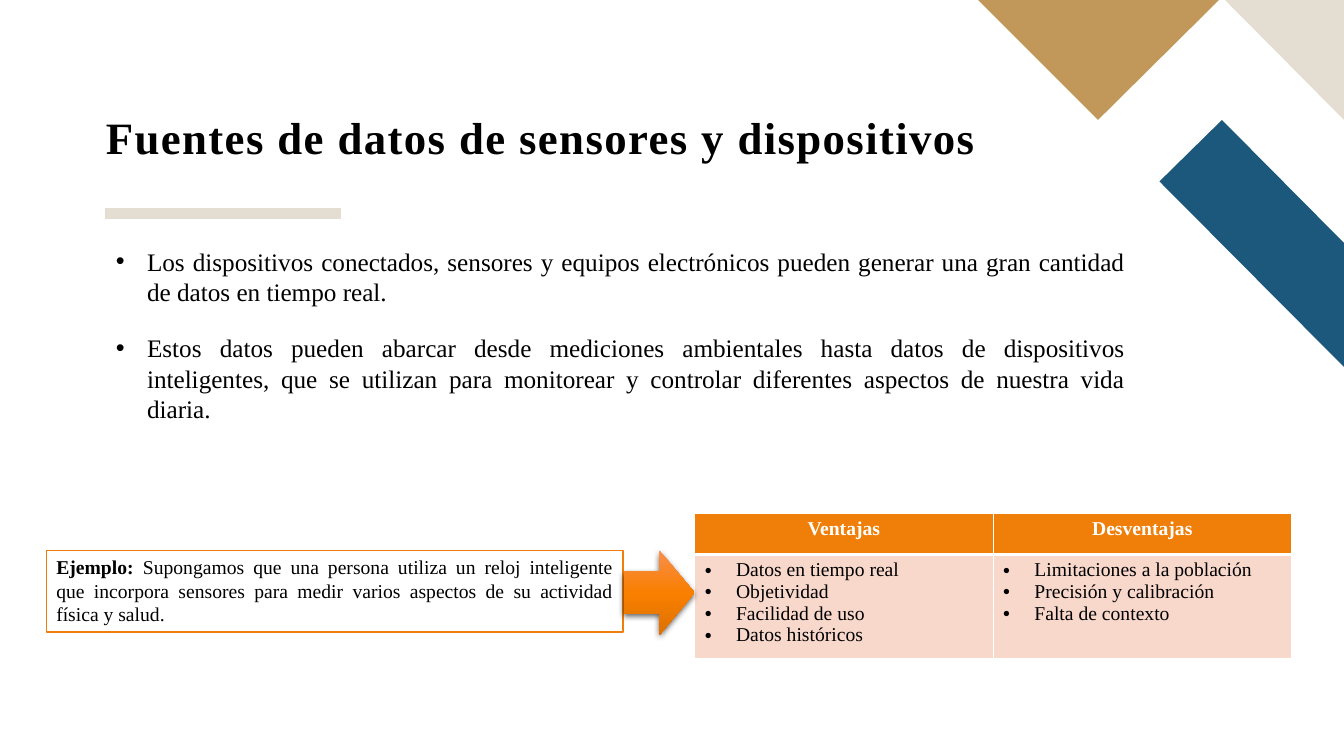
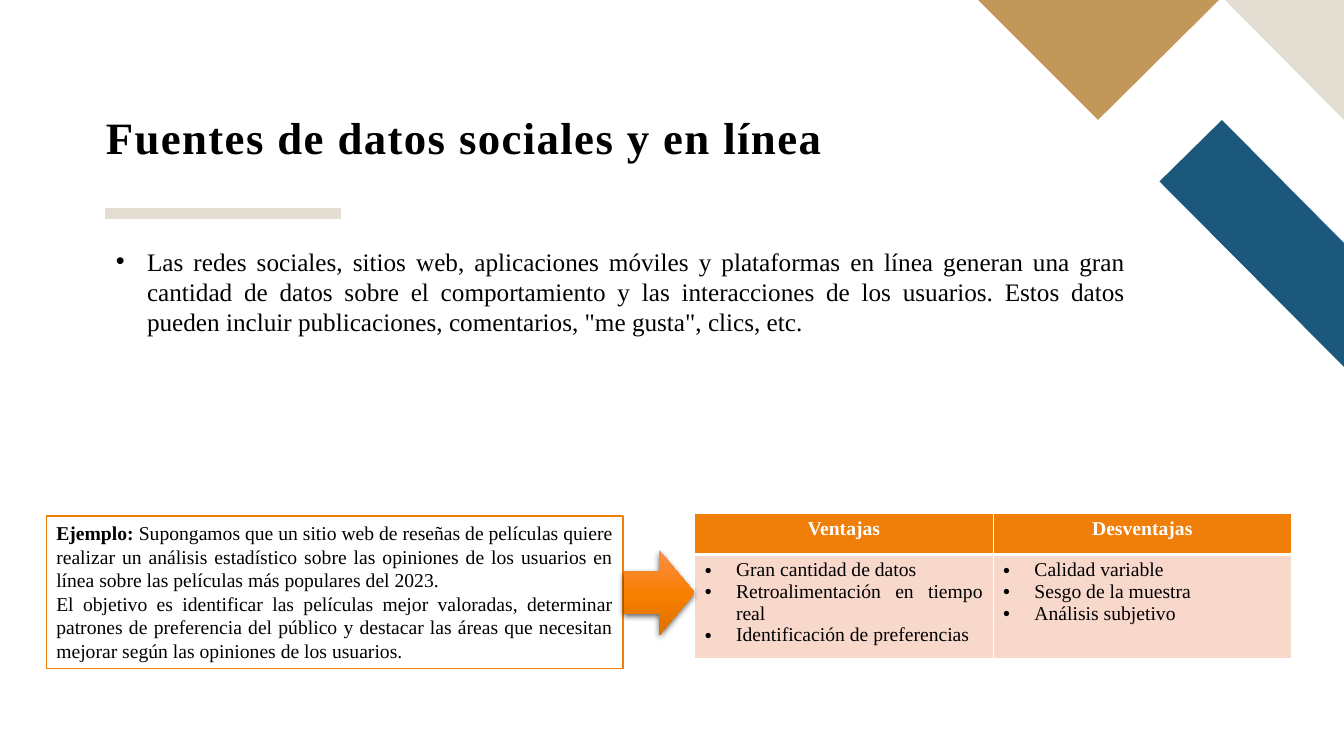
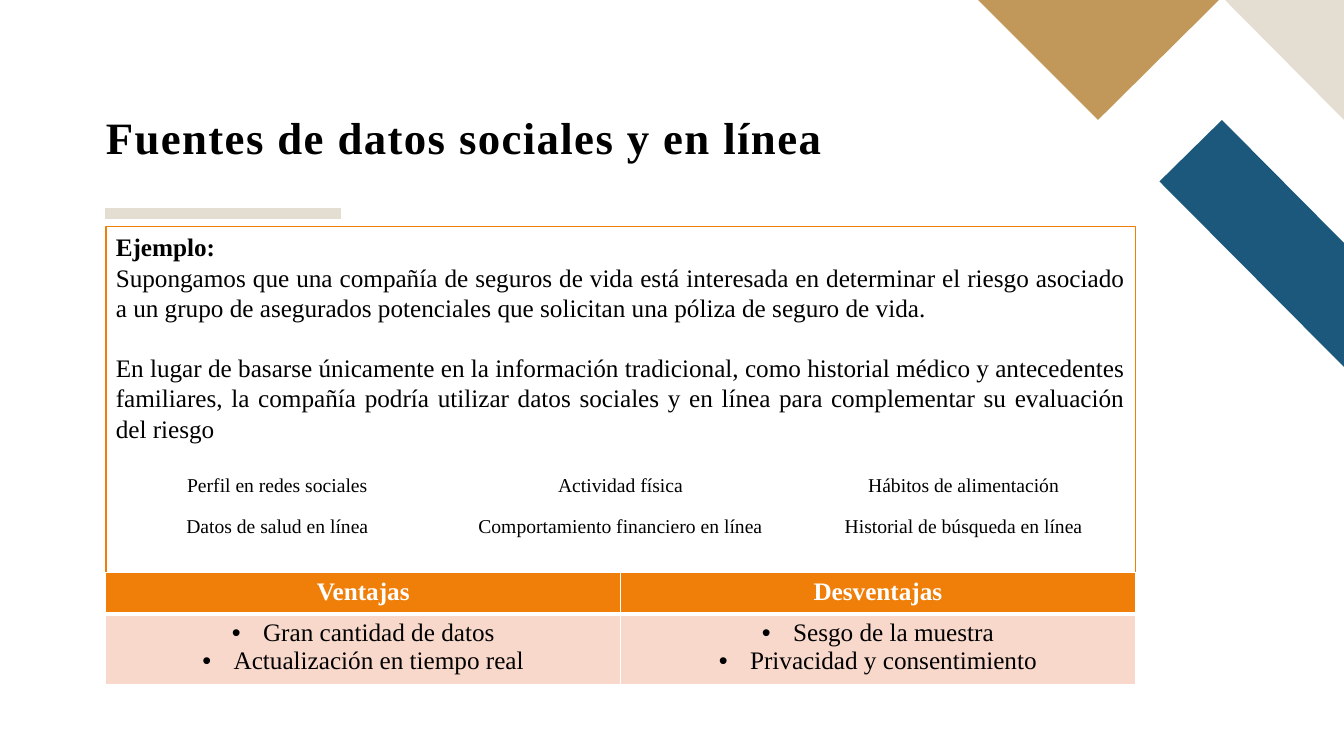
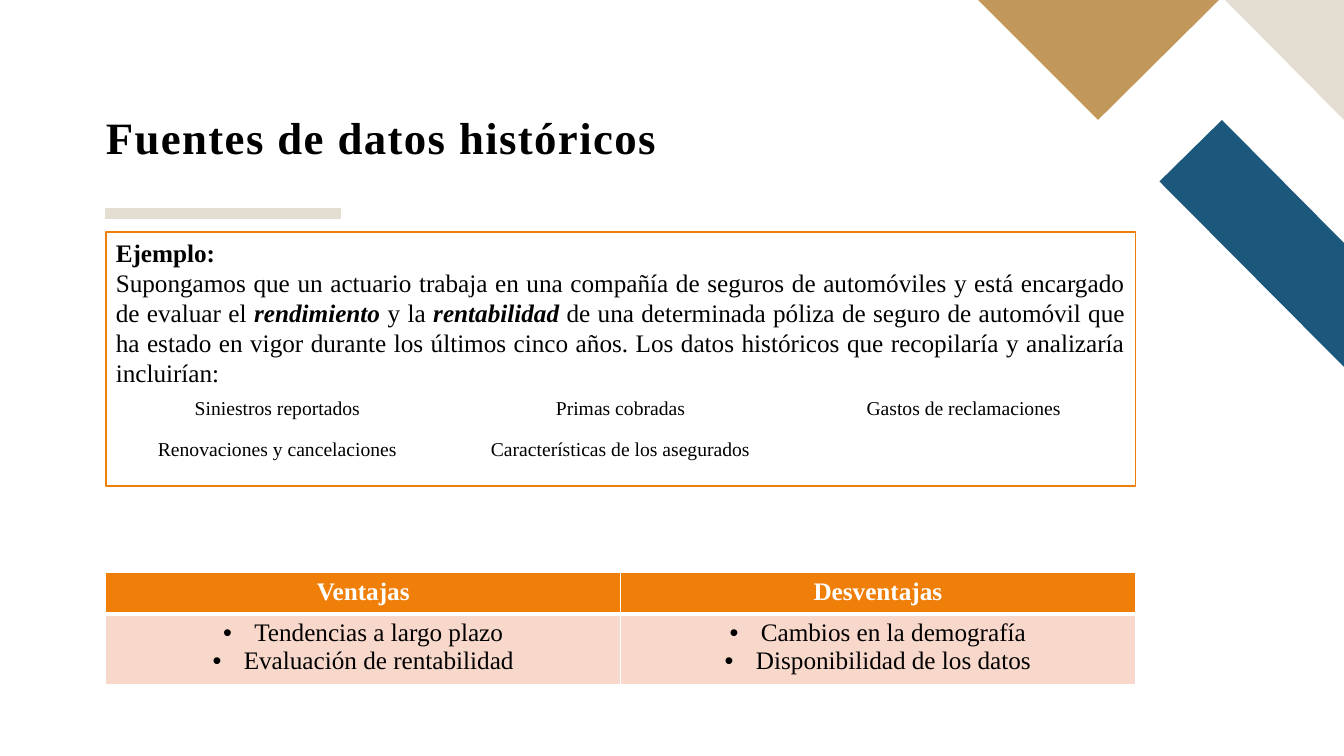
from dataclasses import dataclass

from lxml.etree import SubElement
from pptx import Presentation
from pptx.dml.color import RGBColor
from pptx.enum.shapes import MSO_CONNECTOR, MSO_SHAPE
from pptx.enum.text import MSO_ANCHOR, PP_ALIGN
from pptx.oxml.ns import qn
from pptx.util import Pt

PX = 9144  # EMU in one px, 100 px to the inch


@dataclass(frozen=True)
class Theme:
    font: str = "Times New Roman"
    black: str = "000000"
    white: str = "FFFFFF"
    sand: str = "E3DED1"
    blue: str = "1B587C"
    gold: str = "C19859"
    orange: str = "F07F09"
    pink: str = "F9D8CC"
    arrow: tuple = ((0, "F98E4B"), (50, "F97F00"), (100, "DD7100"))
    title: int = 32
    body: int = 18
    small: int = 14


T = Theme()
LEFT, WIDTH = 105, 1021
ROW = 41
INDENT = 31
NO_STYLE = "{2D5ABB26-0587-4C30-8999-92F81FD0307C}"


def px(*lengths):
    return [n * PX for n in lengths]


def rgb(color):
    return RGBColor.from_string(color)


def sub(parent, tag, **attrs):
    return SubElement(parent, qn(tag), {k: str(v) for k, v in attrs.items()})


def write(tf, paras, size=T.body, color=T.black, align=PP_ALIGN.JUSTIFY,
          bullet=False, bold=False, leading=None, last_gap=0, tracking=0):
    """Fill a text frame; a paragraph is a string or a list of (text, style), style from "", "b", "bi"."""
    tf.word_wrap = True
    for i, para in enumerate(paras):
        p = tf.paragraphs[0] if i == 0 else tf.add_paragraph()
        p.alignment = align
        if leading:
            p.line_spacing = leading
        if last_gap and i == len(paras) - 1:
            p.space_before = Pt(last_gap)
        if bullet:
            pPr = p._p.get_or_add_pPr()
            pPr.set("marL", str(INDENT * PX))
            pPr.set("indent", str(-INDENT * PX))
            sub(pPr, "a:buFont", typeface="Arial")
            sub(pPr, "a:buChar", char="•")
        for text, style in [(para, "")] if isinstance(para, str) else para:
            r = p.add_run()
            r.text = text
            f = r.font
            f.name, f.size, f.color.rgb = T.font, Pt(size), rgb(color)
            f.bold, f.italic = bold or "b" in style, "i" in style
            if tracking:
                r._r.get_or_add_rPr().set("spc", str(tracking))


def text_box(s, x, y, w, h, paras, **fmt):
    tf = s.shapes.add_textbox(*px(x, y, w, h)).text_frame
    write(tf, paras, **fmt)
    return tf


def polygon(s, points, color):
    builder = s.shapes.build_freeform(*points[0], scale=PX)
    builder.add_line_segments(points[1:], close=True)
    sp = builder.convert_to_shape()
    sp.shadow.inherit = False
    sp.fill.solid()
    sp.fill.fore_color.rgb = rgb(color)
    sp.line.fill.background()


def add_slide(prs, title):
    """Add a slide with the shared rule, corner shapes and title."""
    s = prs.slides.add_slide(prs.slide_layouts[6])
    rule = s.shapes.add_connector(MSO_CONNECTOR.STRAIGHT, *px(104, 212, 338, 212))
    rule.line.color.rgb = rgb(T.sand)
    rule.line.width = Pt(8)
    sub(rule._element.spPr, "a:effectLst")
    polygon(s, [(1333, 364), (1333, 241), (1212, 119), (1150, 180)], T.blue)
    polygon(s, [(1333, 119), (1333, 0), (1215, 0)], T.sand)
    polygon(s, [(970, 0), (1089, 119), (1209, 0)], T.gold)
    tf = text_box(s, LEFT, 96, WIDTH, 67, [title], size=T.title, bold=True,
                  leading=0.9, tracking=100)
    tf.margin_left = tf.margin_right = tf.margin_top = tf.margin_bottom = 0
    tf.vertical_anchor = MSO_ANCHOR.BOTTOM
    return s


def bullet_text(s, y, h, text):
    text_box(s, LEFT, y, WIDTH, h, [text], bullet=True)


def example_box(s, x, y, w, h, paras, **fmt):
    sp = s.shapes.add_shape(MSO_SHAPE.RECTANGLE, *px(x, y, w, h))
    sp.shadow.inherit = False
    sp.fill.solid()
    sp.fill.fore_color.rgb = rgb(T.white)
    sp.line.color.rgb = rgb(T.orange)
    sp.line.width = Pt(1)
    sp.text_frame.vertical_anchor = MSO_ANCHOR.TOP
    write(sp.text_frame, paras, **fmt)


def arrow(s):
    sp = s.shapes.add_shape(MSO_SHAPE.RIGHT_ARROW, *px(619, 546, 70, 84))
    sp.line.fill.background()
    sp.fill.gradient()
    sp.fill.gradient_angle = 270
    spPr = sp._element.spPr
    stops = spPr.find(".//" + qn("a:gsLst"))
    for stop in list(stops):
        stops.remove(stop)
    for pos, color in T.arrow:
        sub(sub(stops, "a:gs", pos=pos * 1000), "a:srgbClr", val=color)
    sp.shadow.inherit = False
    shadow = sub(spPr.find(qn("a:effectLst")), "a:outerShdw", blurRad=Pt(4.5),
                 dist=Pt(1.5), dir=5400000, rotWithShape=0)
    sub(sub(shadow, "a:srgbClr", val=T.black), "a:alpha", val=63000)


def plain_table(s, x, y, w, heights, cols):
    tbl = s.shapes.add_table(len(heights), cols, *px(x, y, w, sum(heights))).table
    tbl._tbl.tblPr.find(qn("a:tableStyleId")).text = NO_STYLE
    tbl.first_row = tbl.horz_banding = False
    for row, h in zip(tbl.rows, heights):
        row.height = h * PX
    return tbl


def paint_cell(cell, color, bottom):
    """Give a cell white borders and a solid fill."""
    tcPr = cell._tc.get_or_add_tcPr()
    for side, width in (("L", 1), ("R", 1), ("T", 1), ("B", bottom)):
        ln = sub(tcPr, f"a:ln{side}", w=Pt(width))
        sub(sub(ln, "a:solidFill"), "a:srgbClr", val=T.white)
    cell.fill.solid()
    cell.fill.fore_color.rgb = rgb(color)


def pros_cons(s, x, y, w, h, pros, cons, size, align):
    tbl = plain_table(s, x, y, w, [ROW, h - ROW], 2)
    for i, (head, items) in enumerate((("Ventajas", pros), ("Desventajas", cons))):
        top, below = tbl.cell(0, i), tbl.cell(1, i)
        paint_cell(top, T.orange, bottom=3)
        paint_cell(below, T.pink, bottom=1)
        write(top.text_frame, [head], size=size, color=T.white,
              align=PP_ALIGN.CENTER, bold=True)
        write(below.text_frame, items, size=size, align=align, bullet=True)


def small_pros_cons(s, pros, cons):
    pros_cons(s, 689, 509, 592, 144, pros, cons, T.small, PP_ALIGN.JUSTIFY)


def wide_pros_cons(s, pros, cons):
    pros_cons(s, LEFT, 568, WIDTH, 111, pros, cons, T.body, PP_ALIGN.CENTER)


def data_grid(s, y, items, cols=3):
    rows = -(-len(items) // cols)
    tbl = plain_table(s, LEFT, y, WIDTH, [ROW] * rows, cols)
    for i, item in enumerate(items):
        write(tbl.cell(*divmod(i, cols)).text_frame, [item], size=T.small,
              align=PP_ALIGN.CENTER)


def sensors(prs):
    s = add_slide(prs, "Fuentes de datos de sensores y dispositivos")
    bullet_text(s, 239, 71, "Los dispositivos conectados, sensores y equipos electrónicos pueden "
                "generar una gran cantidad de datos en tiempo real.")
    bullet_text(s, 325, 101, "Estos datos pueden abarcar desde mediciones ambientales hasta datos de "
                "dispositivos inteligentes, que se utilizan para monitorear y controlar diferentes "
                "aspectos de nuestra vida diaria.")
    example_box(s, 46, 546, 572, 81, [
        [("Ejemplo: ", "b"),
         ("Supongamos que una persona utiliza un reloj inteligente que incorpora sensores para "
          "medir varios aspectos de su actividad física y salud.", "")]], size=T.small)
    small_pros_cons(
        s, ["Datos en tiempo real", "Objetividad", "Facilidad de uso", "Datos históricos"],
        ["Limitaciones a la población", "Precisión y calibración", "Falta de contexto"])
    arrow(s)


def social(prs):
    s = add_slide(prs, "Fuentes de datos sociales y en línea")
    bullet_text(s, 239, 101, "Las redes sociales, sitios web, aplicaciones móviles y plataformas en "
                "línea generan una gran cantidad de datos sobre el comportamiento y las "
                "interacciones de los usuarios. Estos datos pueden incluir publicaciones, "
                "comentarios, \"me gusta\", clics, etc.")
    example_box(s, 46, 512, 572, 151, [
        [("Ejemplo: ", "b"),
         ("Supongamos que un sitio web de reseñas de películas quiere realizar un análisis "
          "estadístico sobre las opiniones de los usuarios en línea sobre las películas más "
          "populares del 2023.", "")],
        "El objetivo es identificar las películas mejor valoradas, determinar patrones de "
        "preferencia del público y destacar las áreas que necesitan mejorar según las opiniones "
        "de los usuarios."], size=T.small)
    small_pros_cons(
        s, ["Gran cantidad de datos", "Retroalimentación en tiempo real",
            "Identificación de preferencias"],
        ["Calidad variable", "Sesgo de la muestra", "Análisis subjetivo"])
    arrow(s)


def life_insurance(prs):
    s = add_slide(prs, "Fuentes de datos sociales y en línea")
    example_box(s, LEFT, 225, WIDTH, 343, [
        [("Ejemplo:", "b")],
        "Supongamos que una compañía de seguros de vida está interesada en determinar el riesgo "
        "asociado a un grupo de asegurados potenciales que solicitan una póliza de seguro de vida.",
        "En lugar de basarse únicamente en la información tradicional, como historial médico y "
        "antecedentes familiares, la compañía podría utilizar datos sociales y en línea para "
        "complementar su evaluación del riesgo"], last_gap=21.5)
    data_grid(s, 466, ["Perfil en redes sociales", "Actividad física", "Hábitos de alimentación",
                       "Datos de salud en línea", "Comportamiento financiero en línea",
                       "Historial de búsqueda en línea"])
    wide_pros_cons(s, ["Gran cantidad de datos", "Actualización en tiempo real"],
                   ["Sesgo de la muestra", "Privacidad y consentimiento"])


def history(prs):
    s = add_slide(prs, "Fuentes de datos históricos")
    example_box(s, LEFT, 230, WIDTH, 252, [
        [("Ejemplo:", "b")],
        [("Supongamos que un actuario trabaja en una compañía de seguros de automóviles y está "
          "encargado de evaluar el ", ""),
         ("rendimiento", "bi"), (" y la ", ""), ("rentabilidad", "bi"),
         (" de una determinada póliza de seguro de automóvil que ha estado en vigor durante los "
          "últimos cinco años. Los datos históricos que recopilaría y analizaría incluirían:", "")]])
    data_grid(s, 390, ["Siniestros reportados", "Primas cobradas", "Gastos de reclamaciones",
                       "Renovaciones y cancelaciones", "Características de los asegurados"])
    wide_pros_cons(s, ["Tendencias a largo plazo", "Evaluación de rentabilidad"],
                   ["Cambios en la demografía", "Disponibilidad de los datos"])


def main():
    prs = Presentation()
    prs.slide_width, prs.slide_height = px(1333, 750)
    for build in (sensors, social, life_insurance, history):
        build(prs)
    prs.save("out.pptx")


if __name__ == "__main__":
    main()
